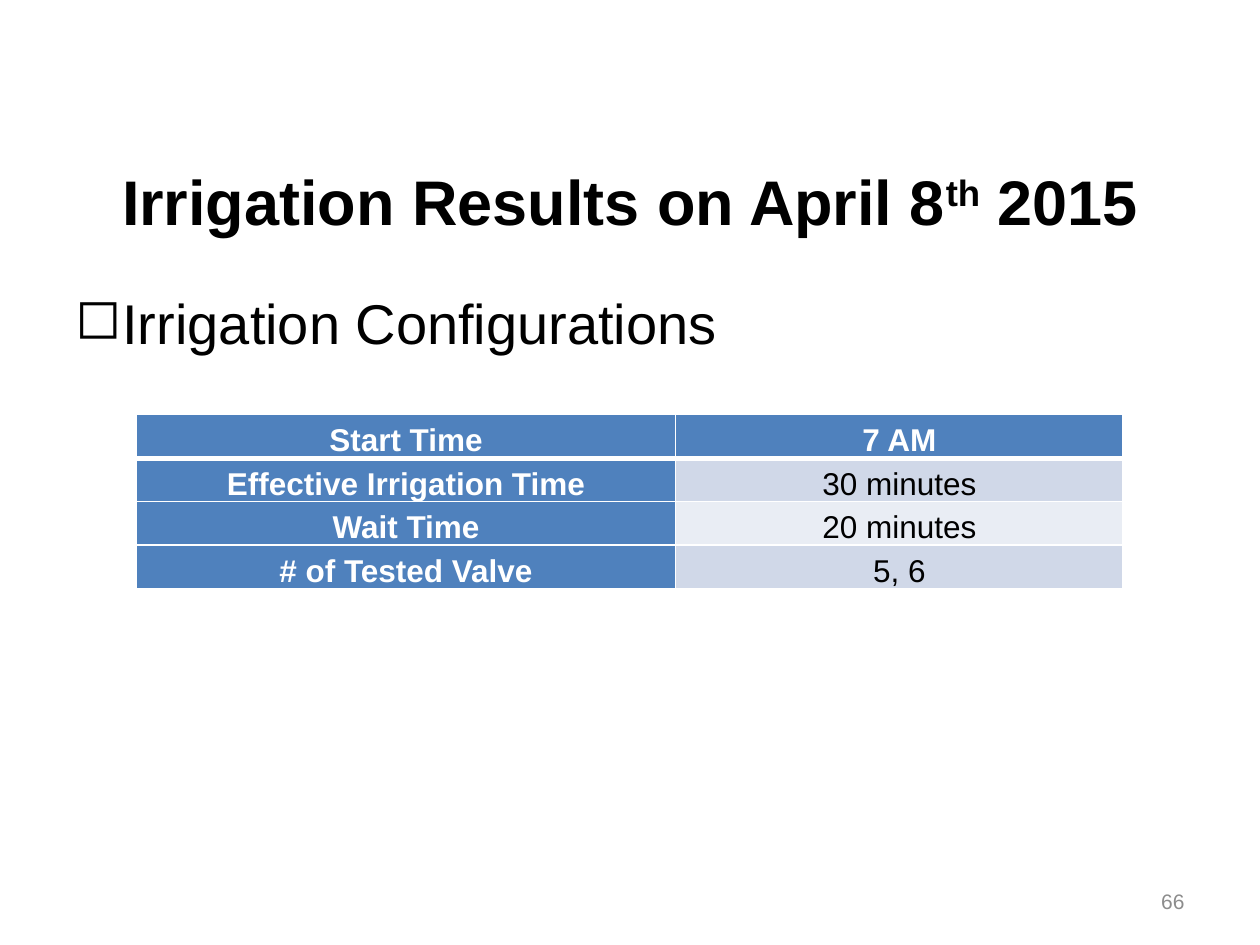
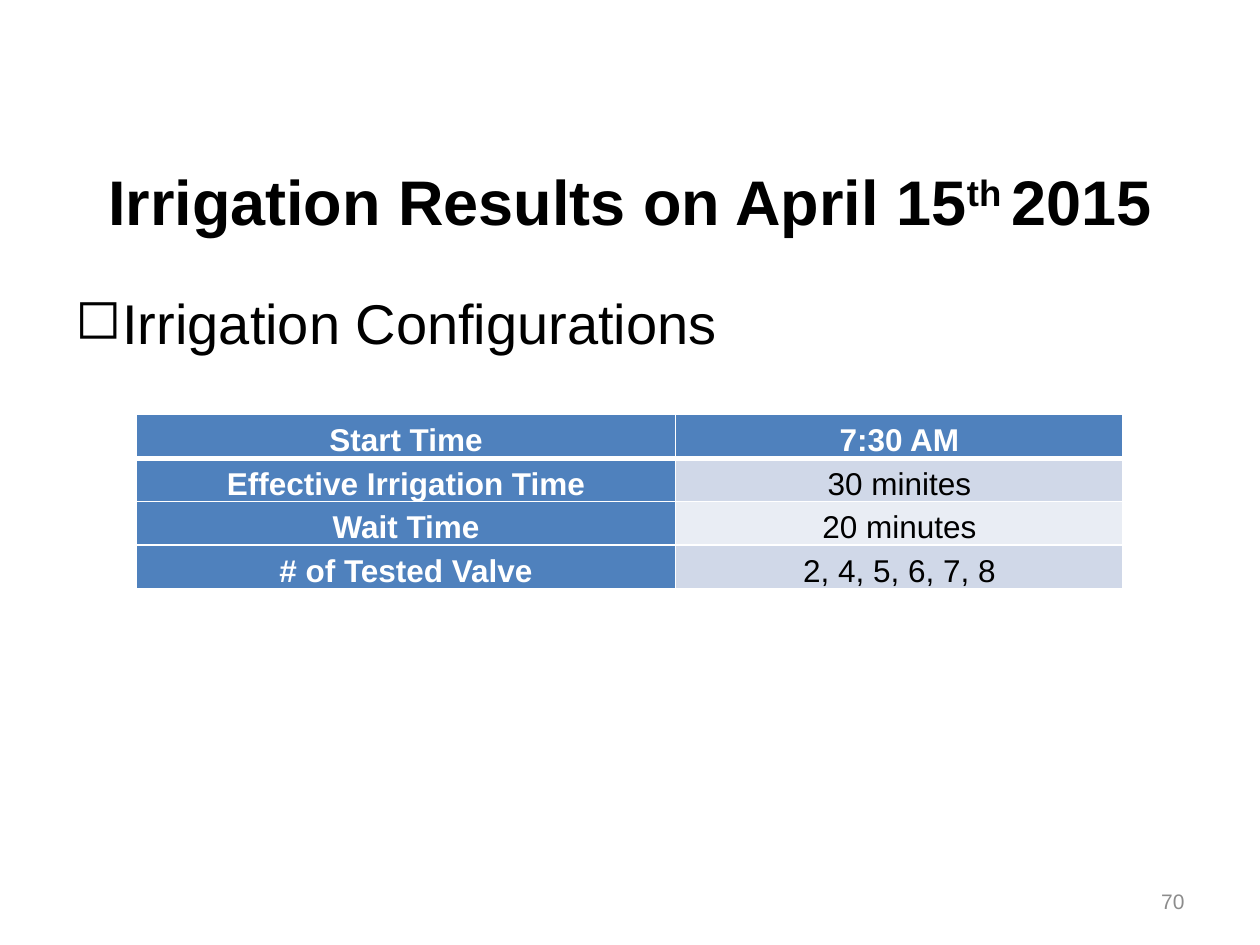
from lxml.etree import SubElement as Sub
from pptx import Presentation
from pptx.dml.color import RGBColor as Rgb
from pptx.enum.text import MSO_ANCHOR as Anchor, PP_ALIGN as Align
from pptx.oxml.ns import qn
from pptx.util import Cm, Pt

FONT = "Arial"
HUES = {"ink": "000000", "page": "8C8C8C", "white": "FFFFFF",
        "head": "4F81BD", "odd": "D0D8E8", "even": "E9EDF4"}
LABELS = ["Start Time", "Effective Irrigation Time", "Wait Time",
          "# of Tested Valve"]
DAYS = [
    (["Irrigation Results on April 8", "th", " 2015"],
     ["7 AM", "30 minutes", "20 minutes", "5, 6"], "66"),
    (["Irrigation Results on April 15", "th ", "2015"],
     ["7:30 AM", "30 minites", "20 minutes", "2, 4, 5, 6, 7, 8"], "70"),
]


def hue(name):
    return Rgb.from_string(HUES[name])


def add_run(para, text, size, color="ink", bold=False):
    run = para.add_run()
    run.text = text
    font = run.font
    font.name, font.size, font.bold = FONT, Pt(size), bold
    font.color.rgb = hue(color)
    return run


def add_title(slide, parts):
    title = slide.shapes.title
    title.left, title.top = Cm(1.27), Cm(2.92)
    title.width, title.height = Cm(22.86), Cm(2.24)
    frame = title.text_frame
    frame.word_wrap = True
    frame.vertical_anchor = Anchor.MIDDLE
    para = frame.paragraphs[0]
    para.alignment = Align.CENTER
    start, suffix, year = parts
    add_run(para, start, 36, bold=True)
    raised = add_run(para, suffix, 36, bold=True)
    raised.font._element.set("baseline", "30000")
    add_run(para, year, 36, bold=True)


def add_box(slide, left, top, width, height):
    box = slide.shapes.add_textbox(Cm(left), Cm(top), Cm(width), Cm(height))
    box.text_frame.word_wrap = True
    return box.text_frame


def add_bullet(slide, text):
    para = add_box(slide, 1.27, 5.69, 22.86, 11.33).paragraphs[0]
    props = para._p.get_or_add_pPr()
    indent = Cm(0.95)
    props.set("marL", str(indent))
    props.set("indent", str(-indent))
    Sub(props, qn("a:buChar"), char="◻")
    add_run(para, text, 32)


def add_page(slide, number):
    frame = add_box(slide, 18.2, 17.65, 5.93, 1.02)
    frame.vertical_anchor = Anchor.MIDDLE
    para = frame.paragraphs[0]
    para.alignment = Align.RIGHT
    add_run(para, number, 12, "page")


def add_edges(cell, row):
    props = cell._tc.get_or_add_tcPr()
    thick = {(0, "B"), (1, "T")}
    for side in "LRTB":
        width = Pt(3 if (row, side) in thick else 1)
        line = Sub(props, qn(f"a:ln{side}"), w=str(width))
        fill = Sub(line, qn("a:solidFill"))
        Sub(fill, qn("a:srgbClr"), val=HUES["white"])


def set_cell(cell, row, text, fill, color, bold):
    add_edges(cell, row)
    cell.fill.solid()
    cell.fill.fore_color.rgb = hue(fill)
    cell.vertical_anchor = Anchor.BOTTOM
    cell.margin_left = cell.margin_right = Cm(0.18)
    cell.margin_top = cell.margin_bottom = 0
    para = cell.text_frame.paragraphs[0]
    para.alignment = Align.CENTER
    para.line_spacing = 1.15
    para.space_after = Pt(10)
    add_run(para, text, 18, color, bold)


def add_grid(slide, values):
    widths = [Cm(10.87), Cm(9.02)]
    count = len(LABELS)
    table = slide.shapes.add_table(count, 2, Cm(2.75), Cm(8.36), sum(widths),
                                   count * Cm(0.81)).table
    for col, width in zip(table.columns, widths):
        col.width = width
    for row, pair in enumerate(zip(LABELS, values)):
        for col, text in enumerate(pair):
            if row == 0 or col == 0:
                style = "head", "white", True
            else:
                style = "odd" if row % 2 else "even", "ink", False
            set_cell(table.cell(row, col), row, text, *style)


def main():
    """Build one slide of irrigation settings for each test day."""
    deck = Presentation()
    deck.slide_width, deck.slide_height = Cm(25.4), Cm(19.05)
    for title, values, page in DAYS:
        slide = deck.slides.add_slide(deck.slide_layouts[5])
        add_title(slide, title)
        add_bullet(slide, "Irrigation Configurations")
        add_page(slide, page)
        add_grid(slide, values)
    deck.save("out.pptx")


if __name__ == "__main__":
    main()
